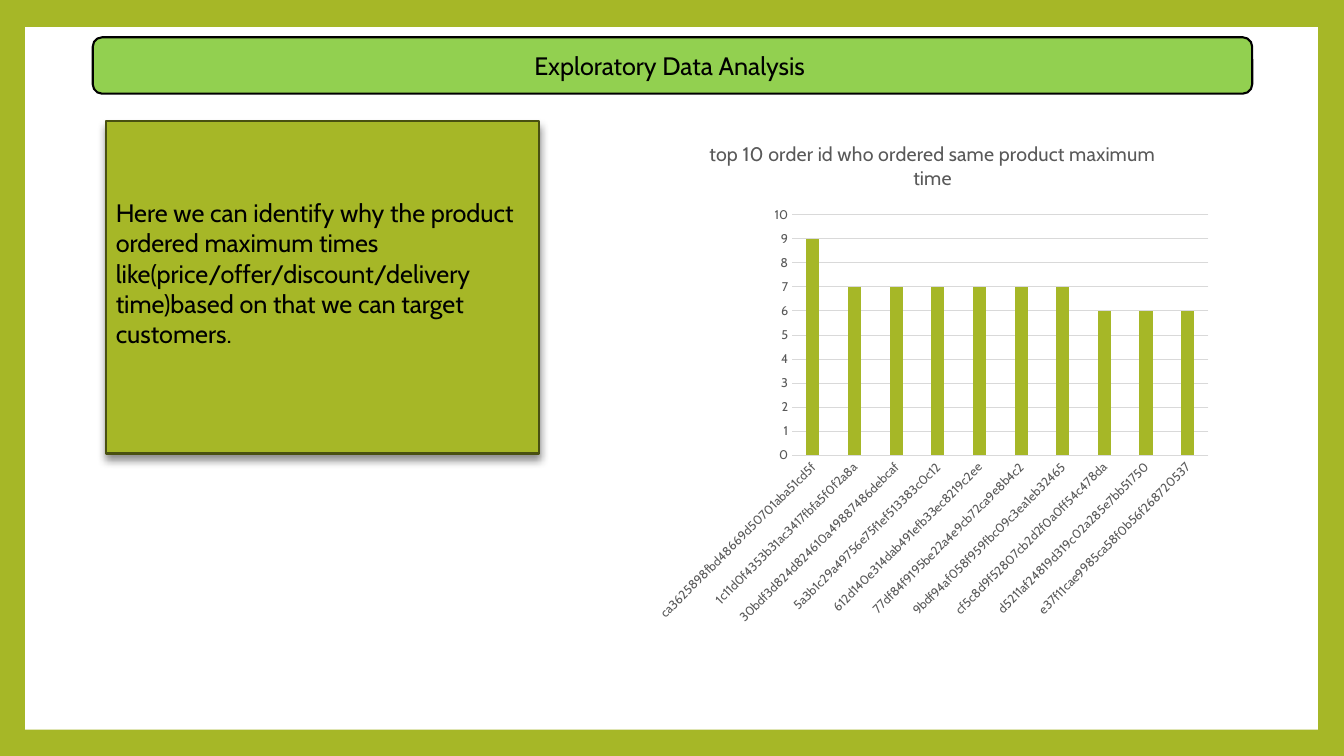
from lxml import etree
from pptx import Presentation
from pptx.chart.data import CategoryChartData
from pptx.dml.color import RGBColor
from pptx.enum.chart import XL_CHART_TYPE, XL_TICK_MARK
from pptx.enum.shapes import MSO_SHAPE
from pptx.enum.text import MSO_ANCHOR, PP_ALIGN
from pptx.oxml import parse_xml
from pptx.oxml.ns import nsdecls, qn
from pptx.util import Inches, Pt

RECT, ROUNDED = MSO_SHAPE.RECTANGLE, MSO_SHAPE.ROUNDED_RECTANGLE
COLUMNS = XL_CHART_TYPE.COLUMN_CLUSTERED
NO_TICK = XL_TICK_MARK.NONE
MIDDLE = MSO_ANCHOR.MIDDLE
LEFT, CENTER = PP_ALIGN.LEFT, PP_ALIGN.CENTER

FONT = "Cabin"
COLORS = {
    "olive": "A6B727",
    "dark_olive": "495011",
    "green": "92D050",
    "white": "FFFFFF",
    "black": "000000",
    "grey": "595959",
    "grid": "D9D9D9",
}
ORDERS = {
    "ca3625898fbd48669d50701aba51cd5f": 9,
    "1c11d0f4353b31ac3417fbfa5f0f2a8a": 7,
    "30bdf3d824d824610a49887486debcaf": 7,
    "5a3b1c29a49756e75f1ef513383c0c12": 7,
    "612d140e314dab491efb33ec8219c2ee": 7,
    "77df84f9195be22a4e9cb72ca9e8b4c2": 7,
    "9bdf94af058f959fbc09c3ea1eb32465": 7,
    "cf5c8d9f52807cb2d2f0a0ff54c478da": 6,
    "d5211af24819d319c02a285e7bb51750": 6,
    "e37f11cae9985ca58f0b56f268720537": 6,
}


def color(name):
    return RGBColor.from_string(COLORS[name])


def style_font(font, size, tone):
    font.name, font.size, font.bold = FONT, Pt(size), False
    font.color.rgb = color(tone)


def write(frame, text, size=18, tone="black", align=LEFT):
    paragraph = frame.paragraphs[0]
    paragraph.alignment = align
    run = paragraph.add_run()
    run.text = text
    style_font(run.font, size, tone)


class SlideBuilder:
    def __init__(self, slide):
        self.slide = slide

    def background(self, tone):
        fill = self.slide.background.fill
        fill.solid()
        fill.fore_color.rgb = color(tone)

    def panel(self, box, fill, line=None, kind=RECT):
        panel = self.slide.shapes.add_shape(kind, *map(Inches, box))
        panel.shadow.inherit = False
        panel.fill.solid()
        panel.fill.fore_color.rgb = color(fill)
        if line:
            panel.line.color.rgb = color(line)
            panel.line.width = Pt(1.5)
        else:
            panel.line.fill.background()
        panel.text_frame.word_wrap = True
        panel.text_frame.vertical_anchor = MIDDLE
        return panel

    def drop_shadow(self, panel):
        effects = panel._element.spPr.find(qn("a:effectLst"))
        effects.append(parse_xml(
            f'<a:outerShdw {nsdecls("a")} blurRad="{Pt(6)}" dist="{Pt(4)}" '
            'dir="5400000" rotWithShape="0"><a:srgbClr val="000000">'
            '<a:alpha val="43000"/></a:srgbClr></a:outerShdw>'))

    def column_chart(self, box, title, values):
        data = CategoryChartData()
        data.categories = list(values)
        data.add_series("Series 1", list(values.values()))
        chart = self.slide.shapes.add_chart(
            COLUMNS, *map(Inches, box), data).chart
        style_font(chart.font, 10, "black")
        chart.has_legend = False
        chart.has_title = True
        write(chart.chart_title.text_frame, title, 14, "grey", CENTER)
        chart.chart_title.include_in_layout = False

        # Columns
        plot = chart.plots[0]
        plot.gap_width, plot.overlap = 219, -27
        plot.vary_by_categories = False
        columns = plot.series[0].format.fill
        columns.solid()
        columns.fore_color.rgb = color("olive")

        # Axes
        ids, counts = chart.category_axis, chart.value_axis
        for axis in (ids, counts):
            axis.major_tick_mark = axis.minor_tick_mark = NO_TICK
            style_font(axis.tick_labels.font, 9, "grey")
        counts.minimum_scale, counts.maximum_scale = 0, 10
        counts.major_unit = 1
        counts.has_major_gridlines = True
        counts.format.line.fill.background()
        for line in (ids.format.line, counts.major_gridlines.format.line):
            line.color.rgb = color("grid")
            line.width = Pt(0.75)
        label_body = etree.ETXPath(f"{qn('c:txPr')}/{qn('a:bodyPr')}")
        label_body(ids._element)[0].set("rot", "-2700000")


def main():
    deck = Presentation()
    deck.slide_width, deck.slide_height = Inches(13.33), Inches(7.5)
    page = SlideBuilder(deck.slides.add_slide(deck.slide_layouts[6]))

    # Frame
    page.background("olive")
    page.panel((0.25, 0.27, 12.82, 6.97), "white")

    # Order chart
    page.column_chart(
        (6.4, 1.2, 5.7, 5.1),
        "top 10 order id who ordered same product maximum time", ORDERS)

    # Insight
    insight = page.panel((1.05, 1.2, 4.3, 3.3), "olive", "dark_olive")
    page.drop_shadow(insight)
    insight.text_frame.margin_bottom = Inches(0.33)
    write(insight.text_frame,
          "Here we can identify why the product ordered maximum times "
          "like(price/offer/discount/delivery time)based on that we can "
          "target customers.")

    # Heading
    heading = page.panel((0.92, 0.37, 11.5, 0.56), "green", "black", ROUNDED)
    write(heading.text_frame, "Exploratory Data Analysis ", align=CENTER)

    deck.save("out.pptx")


if __name__ == "__main__":
    main()
